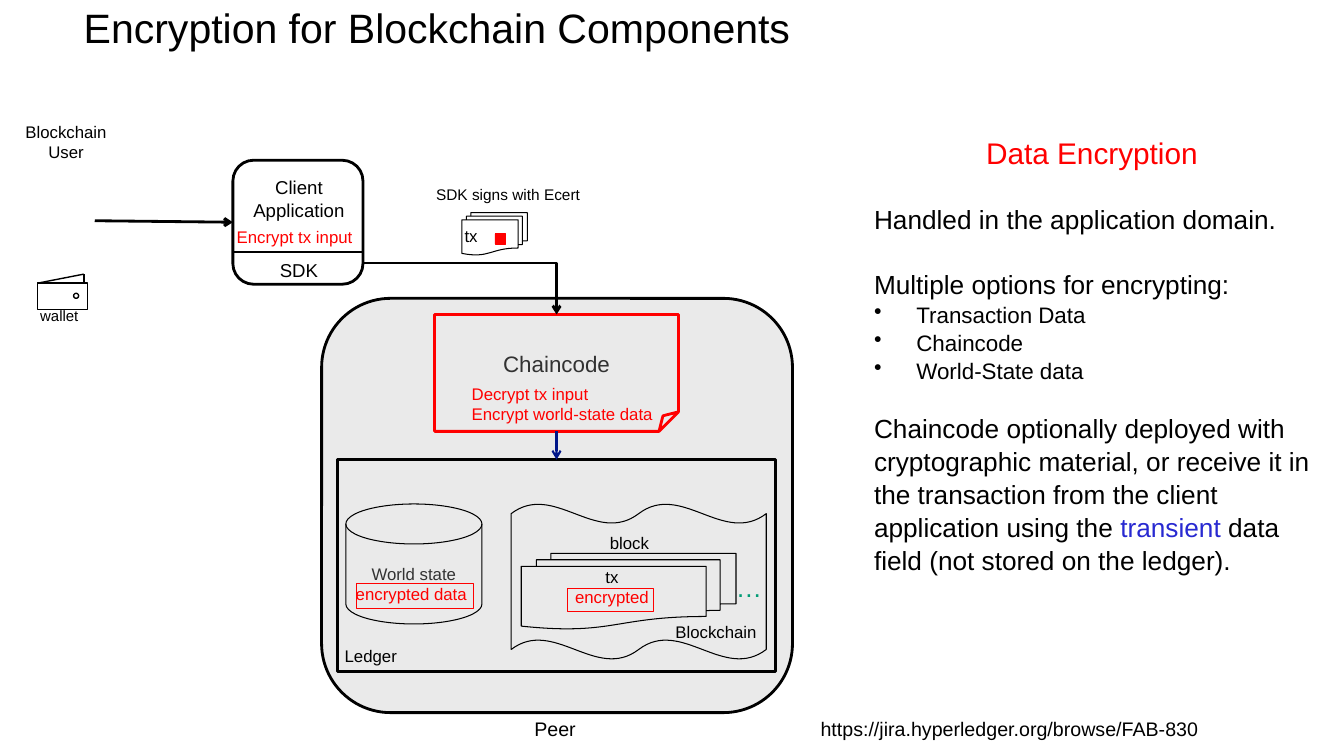
from pptx import Presentation
from pptx.dml.color import RGBColor
from pptx.enum.shapes import MSO_CONNECTOR, MSO_SHAPE
from pptx.enum.text import MSO_ANCHOR, MSO_AUTO_SIZE, PP_ALIGN
from pptx.oxml.ns import qn
from pptx.util import Inches, Pt
from lxml.etree import SubElement

BLACK, RED, BLUE, NAVY = "000000", "FF0000", "2829D1", "001689"
GREY, PALE, GREEN, WHITE = "323232", "EAEAEA", "039C76", "FFFFFF"
CENTER = PP_ALIGN.CENTER


def rgb(value):
    return RGBColor.from_string(value)


def apply(target, values):
    for name, value in values.items():
        setattr(target, name, value)


class Diagram:
    font = "Arial"

    def __init__(self, slide):
        self.shapes = slide.shapes

    def shape(self, preset, box, line=BLACK, weight=0.75, fill=None):
        item = self.shapes.add_shape(preset, *map(Inches, box))
        item.shadow.inherit = False
        if fill:
            item.fill.solid()
            item.fill.fore_color.rgb = rgb(fill)
        else:
            item.fill.background()
        item.line.color.rgb = rgb(line)
        item.line.width = Pt(weight)
        return item

    def run(self, paragraph, words, size, color):
        run = paragraph.add_run()
        run.text = words
        apply(run.font, {"name": self.font, "size": Pt(size)})
        run.font.color.rgb = rgb(color)

    def label(self, item, words, size, color=GREY):
        frame = item.text_frame
        apply(frame, {"word_wrap": True, "vertical_anchor": MSO_ANCHOR.MIDDLE})
        frame.paragraphs[0].alignment = CENTER
        self.run(frame.paragraphs[0], words, size, color)

    def text(self, box, lines, size=12, color=BLACK, align=None, wrap=False, **frame_format):
        frame = self.shapes.add_textbox(*map(Inches, box)).text_frame
        apply(frame, {"word_wrap": wrap, "auto_size": MSO_AUTO_SIZE.SHAPE_TO_FIT_TEXT, **frame_format})
        for index, line in enumerate(lines):
            paragraph = frame.add_paragraph() if index else frame.paragraphs[0]
            details = line if isinstance(line, dict) else {"runs": [(line, color)]}
            if details.get("bullet"):
                properties = paragraph._p.get_or_add_pPr()
                properties.set("marL", str(Inches(0.42)))
                properties.set("indent", str(-Inches(0.42)))
                SubElement(properties, qn("a:buChar")).set("char", "•")
            apply(paragraph, {"alignment": align, **details.get("format", {})})
            for words, run_color in details["runs"]:
                self.run(paragraph, words, details.get("size", size), run_color)

    def connect(self, start, end, weight=2, color=BLACK, arrow=False, bent=False, source=None, target=None):
        kind = MSO_CONNECTOR.ELBOW if bent else MSO_CONNECTOR.STRAIGHT
        link = self.shapes.add_connector(kind, *map(Inches, start + end))
        if source:
            link.begin_connect(*source)
        if target:
            link.end_connect(*target)
        link.line.color.rgb = rgb(color)
        link.line.width = Pt(weight)
        properties = link._element.spPr
        if bent:
            properties.find(qn("a:prstGeom")).set("prst", "bentConnector2")
        if arrow:
            SubElement(properties.find(qn("a:ln")), qn("a:tailEnd")).set("type", "arrow")
        SubElement(properties, qn("a:effectLst"))


def draw_peer(page):
    page.shape(MSO_SHAPE.ROUNDED_RECTANGLE, (3.19, 2.96, 4.67, 4.11), weight=2, fill=PALE)
    world_state = page.shape(MSO_SHAPE.FLOWCHART_MAGNETIC_DISK, (3.43, 5, 1.35, 1.19))
    page.label(world_state, "World state", 12)
    page.shape(MSO_SHAPE.DOUBLE_WAVE, (5.07, 5, 2.53, 1.54))
    page.text((6.6, 6.12, 1.01, 0.3), ["Blockchain"])
    page.shape(MSO_SHAPE.FLOWCHART_MULTIDOCUMENT, (5.17, 5.49, 2.13, 0.75))
    page.text((5.95, 5.24, 0.59, 0.3), ["block"])
    page.text((7.2, 5.62, 0.46, 0.42), ["…"], 18.7, GREEN)
    ledger = page.shape(MSO_SHAPE.RECTANGLE, (3.35, 4.56, 4.34, 2.1), weight=2)
    page.text((3.32, 6.36, 0.72, 0.3), ["Ledger"])
    chaincode = page.shape(MSO_SHAPE.FOLDED_CORNER, (4.31, 3.12, 2.42, 1.16), RED, 2)
    apply(chaincode.text_frame, {"margin_left": 0, "margin_right": 0})
    page.label(chaincode, "Chaincode", 16)
    page.text((4.58, 3.76, 2.01, 0.5), ["Decrypt tx input", "Encrypt world-state data"], color=RED)
    page.connect((5.52, 4.28), (5.52, 4.56), 1.5, NAVY, True, source=(chaincode, 2), target=(ledger, 0))
    page.text((5.6, 5.57, 0.94, 0.5), ["tx", {"runs": [("encrypted", RED)]}], align=CENTER)
    page.text((3.43, 5.74, 1.31, 0.3), ["encrypted data"], color=RED)
    for box in ((3.53, 5.79, 1.17, 0.25), (5.63, 5.84, 0.85, 0.23)):
        page.shape(MSO_SHAPE.RECTANGLE, box, RED, 0.5)
    page.text((4.91, 7.06, 1.19, 0.34), ["Peer"], 14, align=CENTER, wrap=True)
    return chaincode


def draw_client(page, chaincode):
    page.text((2.25, 2.2, 1.37, 0.3), ["Encrypt tx input"], color=RED)
    client = page.shape(MSO_SHAPE.ROUNDED_RECTANGLE, (2.31, 1.59, 1.29, 1.23), weight=2)
    page.text((2.19, 1.7, 1.55, 0.55), ["Client", "Application"], 13.3, align=CENTER, wrap=True)
    page.connect((2.31, 2.5), (3.6, 2.5))
    page.text((2.57, 2.52, 0.79, 0.33), ["SDK"], 13.3, align=CENTER, wrap=True)
    page.connect((0.94, 2.19), (2.31, 2.2), arrow=True, target=(client, 1))
    page.connect((3.6, 2.61), (5.52, 3.12), arrow=True, bent=True, target=(chaincode, 0))
    page.shape(MSO_SHAPE.FLOWCHART_MULTIDOCUMENT, (4.58, 2.11, 0.65, 0.42))
    page.text((4.51, 2.19, 0.33, 0.3), ["tx"])
    page.text((3.78, 1.79, 2.52, 0.29), ["SDK signs with Ecert"], 11, align=CENTER, wrap=True)
    page.shape(MSO_SHAPE.RECTANGLE, (4.91, 2.32, 0.1, 0.1), RED, 0.5, RED)


def draw_user(page):
    page.text((0.06, 1.16, 1.19, 0.5), ["Blockchain User"], align=CENTER, wrap=True)
    page.shape(MSO_SHAPE.RECTANGLE, (0.37, 2.81, 0.5, 0.26), weight=1)
    page.shape(MSO_SHAPE.OVAL, (0.73, 2.91, 0.05, 0.05), weight=1, fill=WHITE)
    page.connect((0.37, 2.81), (0.83, 2.72), 1)
    page.connect((0.83, 2.72), (0.83, 2.81), 1.5)
    page.text((0.3, 2.99, 0.58, 0.28), ["wallet"], 10.7)


def draw_notes(page):
    spacing = {"line_spacing": 1.05}
    after_gap = {**spacing, "space_before": Pt(22.5)}
    options = [{"runs": [(name, BLACK)], "size": 16, "bullet": True, "format": spacing}
               for name in ("Transaction Data", "Chaincode", "World-State data")]
    page.text((8.57, 1.27, 4.52, 4.99), [
        {"runs": [("Data Encryption", RED)], "size": 21.3, "format": {**spacing, "alignment": CENTER}},
        {"runs": [("Handled in the application domain.", BLACK)], "format": after_gap},
        {"runs": [("Multiple options for encrypting:", BLACK)], "format": after_gap},
        *options,
        {"runs": [("Chaincode optionally deployed with cryptographic material, or receive it in "
                   "the transaction from the client application using the ", BLACK),
                  ("transient ", BLUE), ("data field (not stored on the ledger).", BLACK)],
         "format": {**spacing, "space_before": Pt(19.3)}},
    ], 18.7, wrap=True)
    page.text((8.04, 7.06, 4.26, 0.34), ["https://jira.hyperledger.org/browse/FAB-830"], 14, wrap=True)


def main():
    deck = Presentation()
    apply(deck, {"slide_width": Inches(13.33), "slide_height": Inches(7.5)})
    page = Diagram(deck.slides.add_slide(deck.slide_layouts[6]))
    heading = {"runs": [("Encryption for Blockchain Components", BLACK)], "format": {"line_spacing": 0.9}}
    page.text((0.83, 0.08, 11.45, 0.64), [heading], 29.3, wrap=True, auto_size=MSO_AUTO_SIZE.NONE,
              margin_left=0, margin_top=0, margin_right=0, margin_bottom=0)
    chaincode = draw_peer(page)
    draw_client(page, chaincode)
    draw_user(page)
    draw_notes(page)
    deck.save("out.pptx")


if __name__ == "__main__":
    main()
